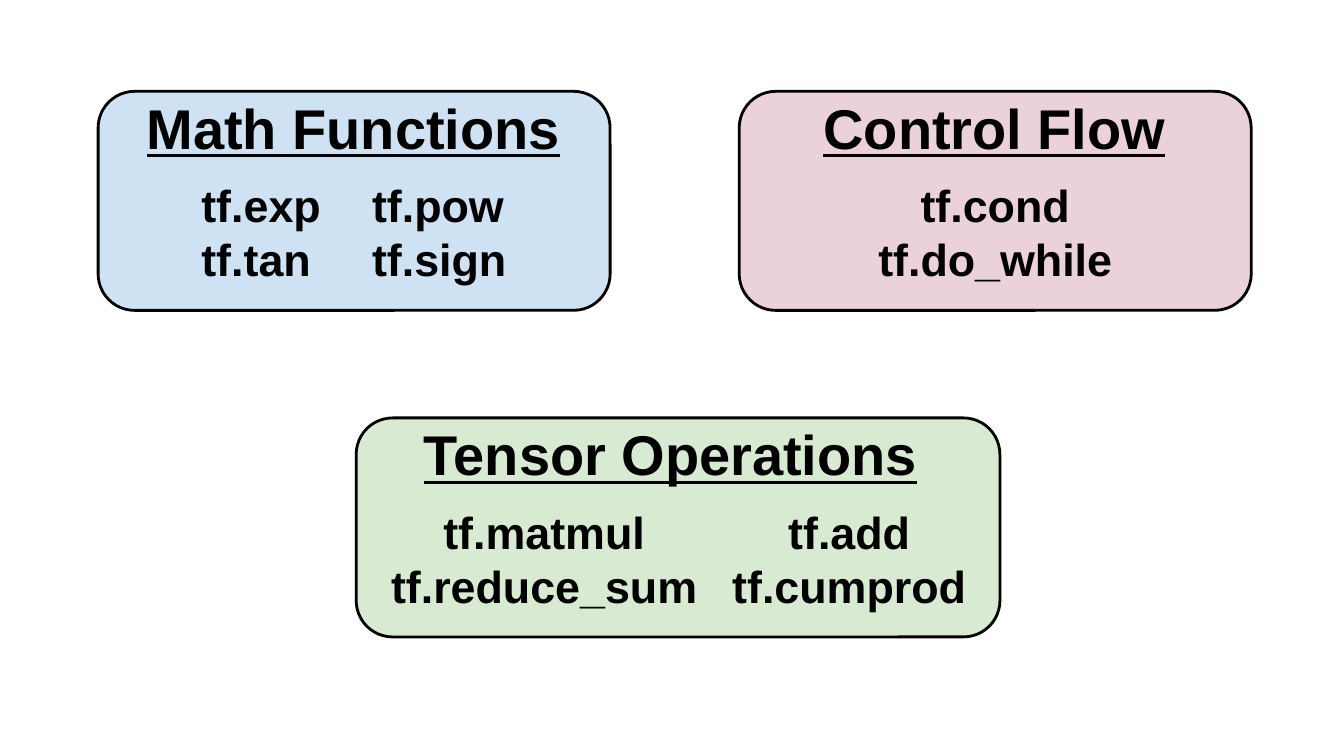
from dataclasses import dataclass

from lxml.etree import SubElement
from pptx import Presentation
from pptx.dml.color import RGBColor
from pptx.enum.shapes import MSO_SHAPE
from pptx.enum.text import MSO_ANCHOR, PP_ALIGN
from pptx.oxml.ns import qn
from pptx.util import Inches, Pt


@dataclass(frozen=True)
class Theme:
    font: str = "Arial"
    ink: str = "000000"
    blue: str = "CFE2F3"
    pink: str = "EAD1DC"
    green: str = "D9EAD3"
    title_size: int = 30
    item_size: int = 24
    outline: float = 1.5


THEME = Theme()
SLIDE_W = 10
SLIDE_H = SLIDE_W * 9 / 16
CARD_H, TITLE_H, LIST_H = 1.63, 0.47, 0.99
TITLE_DY, LIST_DY = 0.03, 0.55
INSET = 0.1


def add_card(slide, left, top, width, color):
    """Draw the rounded panel behind a group."""
    sp = slide.shapes.add_shape(
        MSO_SHAPE.ROUNDED_RECTANGLE,
        Inches(left), Inches(top), Inches(width), Inches(CARD_H))
    sp.shadow.inherit = False
    sp.fill.solid()
    sp.fill.fore_color.rgb = RGBColor.from_string(color)
    sp.line.color.rgb = RGBColor.from_string(THEME.ink)
    sp.line.width = Pt(THEME.outline)


def set_tabs(p, align, stops):
    """Give a paragraph tab stops measured from the text's left edge."""
    tabs = SubElement(p._p.get_or_add_pPr(), qn("a:tabLst"))
    for stop in stops:
        SubElement(tabs, qn("a:tab"), pos=str(Inches(stop)), algn=align)


def add_text(slide, left, top, width, height, lines, font, tabs=None):
    """Add bold lines, centred or set in columns on tab stops."""
    tf = slide.shapes.add_textbox(
        Inches(left), Inches(top), Inches(width), Inches(height)).text_frame
    frame = {"word_wrap": True, "vertical_anchor": MSO_ANCHOR.MIDDLE}
    frame |= {f"margin_{side}": Inches(INSET)
              for side in ("left", "top", "right", "bottom")}
    for name, value in frame.items():
        setattr(tf, name, value)
    for i, line in enumerate(lines):
        p = tf.add_paragraph() if i else tf.paragraphs[0]
        p.alignment = PP_ALIGN.LEFT if tabs else PP_ALIGN.CENTER
        if tabs:
            set_tabs(p, *tabs)
        r = p.add_run()
        r.text = line
        for name, value in ({"name": THEME.font, "bold": True} | font).items():
            setattr(r.font, name, value)
        r.font.color.rgb = RGBColor.from_string(THEME.ink)


def add_group(slide, card, color, title, title_span, items, list_span, tabs=None):
    """Build a card with its heading and function names; spans are left, width."""
    left, top, width = card
    add_card(slide, left, top, width, color)
    title_left, title_w = title_span
    add_text(slide, title_left, top + TITLE_DY, title_w, TITLE_H, [title],
             {"size": Pt(THEME.title_size), "underline": True})
    list_left, list_w = list_span
    add_text(slide, list_left, top + LIST_DY, list_w, LIST_H, items,
             {"size": Pt(THEME.item_size)}, tabs)


def main():
    prs = Presentation()
    prs.slide_width, prs.slide_height = Inches(SLIDE_W), Inches(SLIDE_H)
    slide = prs.slides.add_slide(prs.slide_layouts[6])

    # Upper row
    add_group(slide, (0.73, 0.68, 3.81), THEME.blue,
              "Math Functions", (0.76, 3.74),
              ["\ttf.exp\ttf.pow", "\ttf.tan\ttf.sign"], (0.85, 3.57),
              ("l", (0.55, 1.82)))
    add_group(slide, (5.5, 0.68, 3.81), THEME.pink,
              "Control Flow", (5.53, 3.74),
              ["tf.cond", "tf.do_while"], (5.62, 3.57))

    # Lower card
    add_group(slide, (2.65, 3.11, 4.79), THEME.green,
              "Tensor Operations", (2.98, 4.02),
              ["\ttf.matmul\ttf.add", "\ttf.reduce_sum\ttf.cumprod"], (2.26, 5.58),
              ("ctr", (1.69, 3.96)))

    prs.save("out.pptx")


if __name__ == "__main__":
    main()
